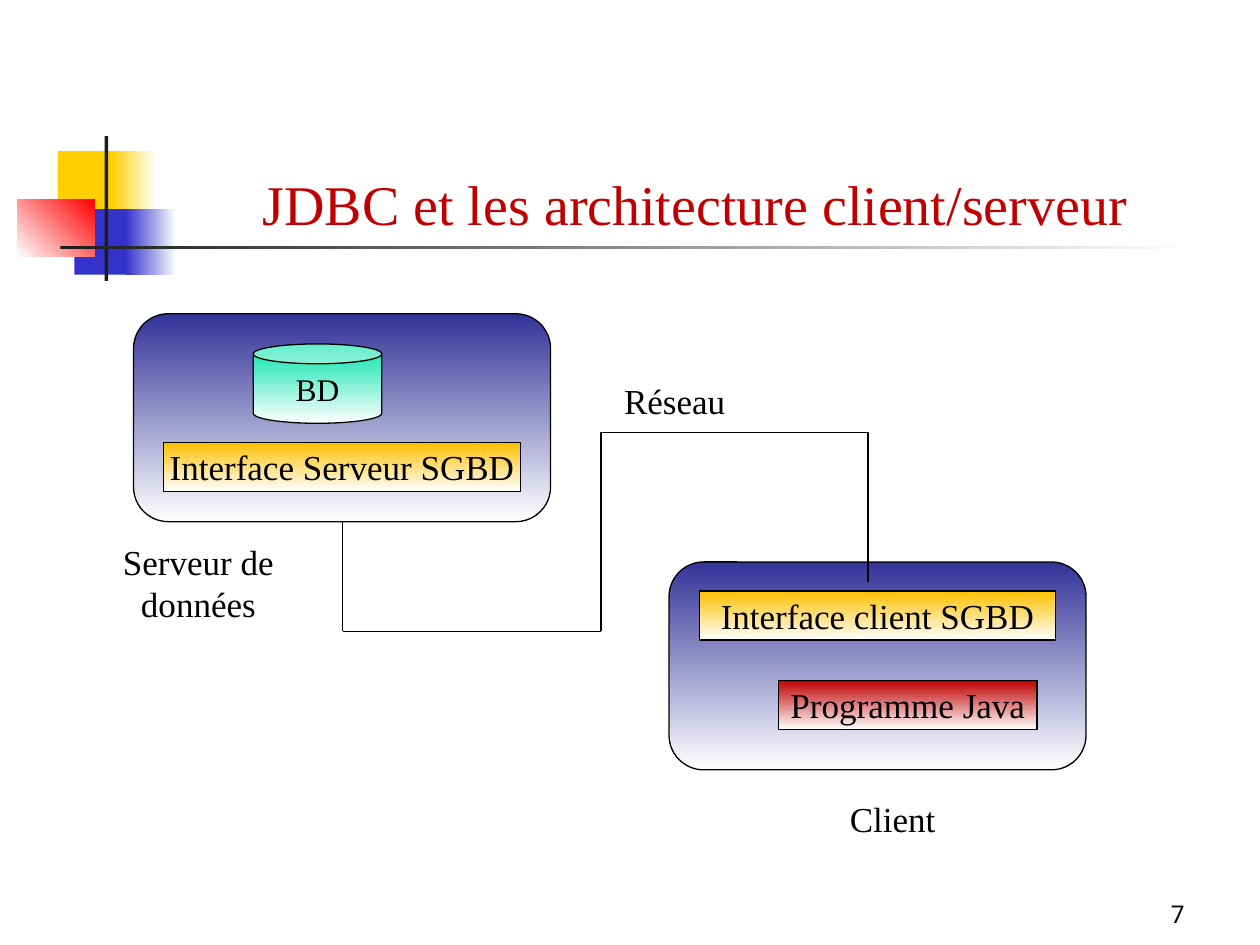
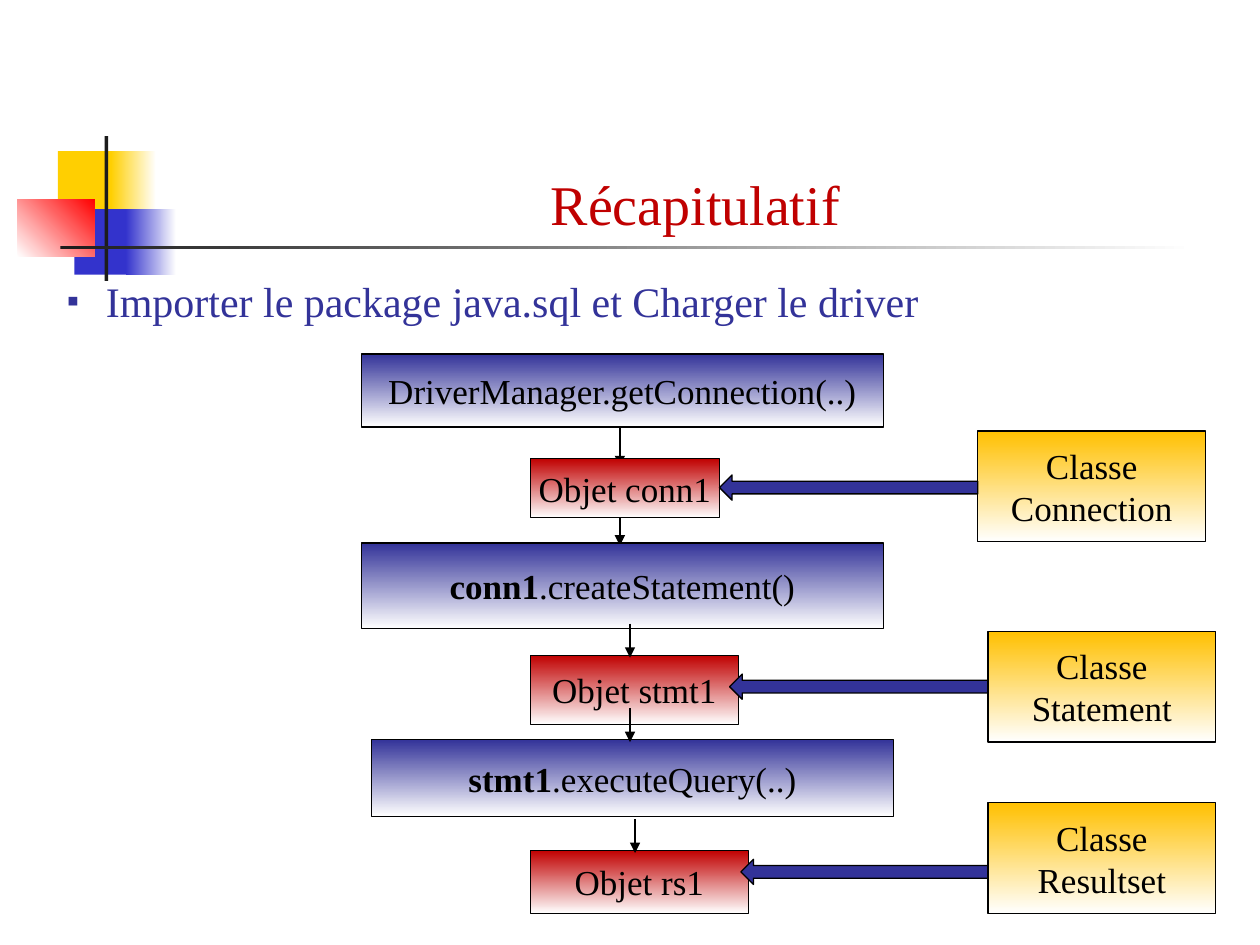
from dataclasses import dataclass
from typing import Any, NamedTuple

import lxml.etree
import pptx
import pptx.dml.color
import pptx.enum.shapes
import pptx.enum.text
import pptx.oxml.ns
import pptx.util

PX = pptx.util.Inches(1) // 100
COLORS = {
    "white": "FFFFFF", "black": "000000", "ink": "1C1C1C", "yellow": "FFCF01",
    "blue": "3333CC", "bright red": "FF0000", "red": "C00000",
    "navy": "333399", "amber": "FFC000", "mint": "00E4A8",
}
SERIF = "Times New Roman"
SHAPE = pptx.enum.shapes.MSO_SHAPE
ALIGN = pptx.enum.text.PP_ALIGN
ANCHOR = pptx.enum.text.MSO_ANCHOR
NO_FIT = pptx.enum.text.MSO_AUTO_SIZE.NONE


class Area(NamedTuple):
    left: int
    top: int
    width: int
    height: int


class Ramp(NamedTuple):
    """A two-colour gradient; the angle runs clockwise from left to right."""
    start: str
    end: str = "white"
    angle: int = 90


@dataclass
class Block:
    area: Area
    fill: str | Ramp
    text: str = ""
    lead: str = ""  # bold words before the text
    kind: Any = SHAPE.RECTANGLE
    size: int = 20
    outlined: bool = True


@dataclass
class Label:
    area: Area
    text: str
    size: int = 20
    font: str = SERIF
    align: Any = ALIGN.CENTER
    anchor: Any = ANCHOR.TOP


class Segment(NamedTuple):
    x1: int
    y1: int
    x2: int
    y2: int


ORNAMENTS = [
    Block(Area(46, 120, 48, 52), "yellow", outlined=False),
    Block(Area(88, 120, 36, 52), Ramp("yellow", angle=0), outlined=False),
    Block(Area(59, 166, 46, 52), "blue", outlined=False),
    Block(Area(100, 166, 40, 52), Ramp("blue", angle=0), outlined=False),
    Block(Area(14, 158, 61, 46), Ramp("white", "bright red", 315), outlined=False),
    Block(Area(83, 108, 3, 115), "ink", outlined=False),
    Block(Area(48, 195, 900, 3), Ramp("ink", angle=0), outlined=False),
]
TITLE_AREA = Area(126, 68, 852, 125)

MACHINES = [
    Block(Area(left, top, 331, 165), Ramp("navy"), kind=SHAPE.ROUNDED_RECTANGLE)
    for left, top in ((106, 249), (531, 446))
]
COMPONENTS = [
    Block(Area(201, 273, 102, 63), Ramp("mint"), "BD", kind=SHAPE.CAN, size=18),
    Block(Area(130, 351, 283, 39), Ramp("amber"), "Interface Serveur SGBD"),
    Block(Area(555, 469, 283, 39), Ramp("amber"), "Interface client SGBD"),
    Block(Area(618, 540, 205, 39), Ramp("red"), "Programme Java"),
]
NETWORK_CORNERS = [(272, 414), (272, 501), (477, 501), (477, 343), (689, 343), (689, 462)]
CAPTIONS = [
    Label(Area(59, 424, 197, 77), "Serveur de données"),
    Label(Area(610, 628, 197, 43), "Client"),
    Label(Area(437, 296, 197, 43), "Réseau"),
    Label(Area(742, 692, 208, 50), "7", 14, "Roboto", ALIGN.RIGHT, ANCHOR.BOTTOM),
]

CALLS = [
    Block(Area(287, 281, 414, 58), Ramp("navy"), "DriverManager.getConnection(..)"),
    Block(Area(287, 431, 414, 68), Ramp("navy"), ".createStatement()", "conn1"),
    Block(Area(295, 587, 414, 61), Ramp("navy"), ".executeQuery(..)", "stmt1"),
]
OBJECTS = [
    Block(Area(421, top, width, height), Ramp("red"), f"Objet {name}")
    for top, width, height, name in (
        (364, 150, 47, "conn1"), (520, 165, 55, "stmt1"), (675, 173, 50, "rs1"))
]
CLASSES = [
    Block(Area(left, top, 181, 88), Ramp("amber"), f"Classe\n{name}")
    for left, top, name in (
        (776, 342, "Connection"), (784, 501, "Statement"), (784, 637, "Resultset"))
]
CLASS_ARROWS = [
    Block(Area(left, top, width, 20), "navy", kind=SHAPE.LEFT_ARROW)
    for left, top, width in ((571, 377, 205), (579, 535, 205), (588, 682, 196))
]
ARROWS_BEHIND = [Segment(492, top, 492, top + 31) for top in (339, 402)]
ARROWS_IN_FRONT = [Segment(x, top, x, top + 27)
                   for x, top in ((500, 495), (504, 650), (500, 562))]


def rgb(name: str) -> pptx.dml.color.RGBColor:
    return pptx.dml.color.RGBColor.from_string(COLORS[name])


def emu(lengths) -> list[int]:
    return [length * PX for length in lengths]


def apply(target, values: dict[str, Any]) -> None:
    for name, value in values.items():
        setattr(target, name, value)


def place(shape, area: Area) -> None:
    apply(shape, dict(zip(Area._fields, emu(area))))


def add_tag(parent, tag: str, **attributes: str):
    return lxml.etree.SubElement(parent, pptx.oxml.ns.qn(tag), attributes)


def add_span(para, text: str, size: int, color: str = "black",
             font: str = SERIF, bold: bool = False) -> None:
    span = para.add_run()
    span.text = text
    apply(span.font, {"name": font, "size": pptx.util.Pt(size), "bold": bold})
    span.font.color.rgb = rgb(color)


def paint(fill, color: str | Ramp) -> None:
    if isinstance(color, str):
        fill.solid()
        fill.fore_color.rgb = rgb(color)
        return
    fill.gradient()
    fill.gradient_angle = -color.angle % 360
    for stop, name in zip(fill.gradient_stops, (color.start, color.end)):
        stop.color.rgb = rgb(name)


def draw_line(line) -> None:
    line.color.rgb = rgb("black")
    line.width = pptx.util.Pt(0.75)


def add_block(page, block: Block):
    shape = page.shapes.add_shape(block.kind, *emu(block.area))
    shape.shadow.inherit = False
    paint(shape.fill, block.fill)
    if block.outlined:
        draw_line(shape.line)
    else:
        shape.line.fill.background()
    if block.text:
        frame = shape.text_frame
        apply(frame, {"word_wrap": False, "vertical_anchor": ANCHOR.MIDDLE})
        for number, text in enumerate(block.text.split("\n")):
            para = frame.add_paragraph() if number else frame.paragraphs[0]
            para.alignment = ALIGN.CENTER
            if block.lead:
                add_span(para, block.lead, block.size, bold=True)
            add_span(para, text, block.size)
    return shape


def add_label(page, label: Label) -> None:
    frame = page.shapes.add_textbox(*emu(label.area)).text_frame
    apply(frame, {"word_wrap": True, "vertical_anchor": label.anchor})
    para = frame.paragraphs[0]
    para.alignment = label.align
    add_span(para, label.text, label.size, font=label.font)


def add_segment(page, segment: Segment, arrow: bool = False) -> None:
    kind = pptx.enum.shapes.MSO_CONNECTOR.STRAIGHT
    connector = page.shapes.add_connector(kind, *emu(segment))
    draw_line(connector.line)
    properties = connector.element.spPr
    if arrow:
        outline = properties.find(pptx.oxml.ns.qn("a:ln"))
        add_tag(outline, "a:tailEnd", type="triangle")
    add_tag(properties, "a:effectLst")


def add_page(deck, layout: str, title: str):
    page = deck.slides.add_slide(deck.slide_layouts.get_by_name(layout))
    place(page.shapes.title, TITLE_AREA)
    frame = page.shapes.title.text_frame
    apply(frame, {"word_wrap": True, "auto_size": NO_FIT,
                  "vertical_anchor": ANCHOR.BOTTOM})
    para = frame.paragraphs[0]
    para.alignment = ALIGN.CENTER
    add_span(para, title, 32, "red")
    return page


def move_ornaments_to_master(deck, page) -> None:
    """Draw the shared ornaments on a page, then hand them to the master."""
    for ornament in ORNAMENTS:
        deck.slide_master.shapes.element.append(add_block(page, ornament).element)


def fill_bullet(body, text: str) -> None:
    place(body, Area(43, 214, 835, 50))
    frame = body.text_frame
    apply(frame, {"word_wrap": True, "auto_size": NO_FIT,
                  "vertical_anchor": ANCHOR.TOP})
    para = frame.paragraphs[0]
    apply(para, {"space_before": pptx.util.Pt(0), "alignment": ALIGN.LEFT})
    add_span(para, text, 24, "navy")
    settings = para._p.get_or_add_pPr()
    settings.set("marL", str(31 * PX))
    settings.set("indent", str(-31 * PX))
    add_tag(add_tag(settings, "a:buClr"), "a:srgbClr", val=COLORS["navy"])
    add_tag(settings, "a:buSzPct", val="83000")
    add_tag(settings, "a:buFont", typeface=SERIF)
    add_tag(settings, "a:buChar", char="▪")


def build_architecture(deck) -> None:
    page = add_page(deck, "Title Only", "JDBC et les architecture client/serveur")
    move_ornaments_to_master(deck, page)
    for block in MACHINES + COMPONENTS:
        add_block(page, block)
    for start, end in zip(NETWORK_CORNERS, NETWORK_CORNERS[1:]):
        add_segment(page, Segment(*start, *end))
    for caption in CAPTIONS:
        add_label(page, caption)


def build_summary(deck) -> None:
    page = add_page(deck, "Title and Content", "Récapitulatif")
    fill_bullet(page.placeholders[1], "Importer le package java.sql et Charger le driver")
    for segment in ARROWS_BEHIND:
        add_segment(page, segment, arrow=True)
    for block in CALLS + CLASSES + OBJECTS + CLASS_ARROWS:
        add_block(page, block)
    for segment in ARROWS_IN_FRONT:
        add_segment(page, segment, arrow=True)


def main() -> None:
    deck = pptx.Presentation()
    apply(deck, {"slide_width": 1000 * PX, "slide_height": 750 * PX})
    build_architecture(deck)
    build_summary(deck)
    deck.save("out.pptx")


if __name__ == "__main__":
    main()
